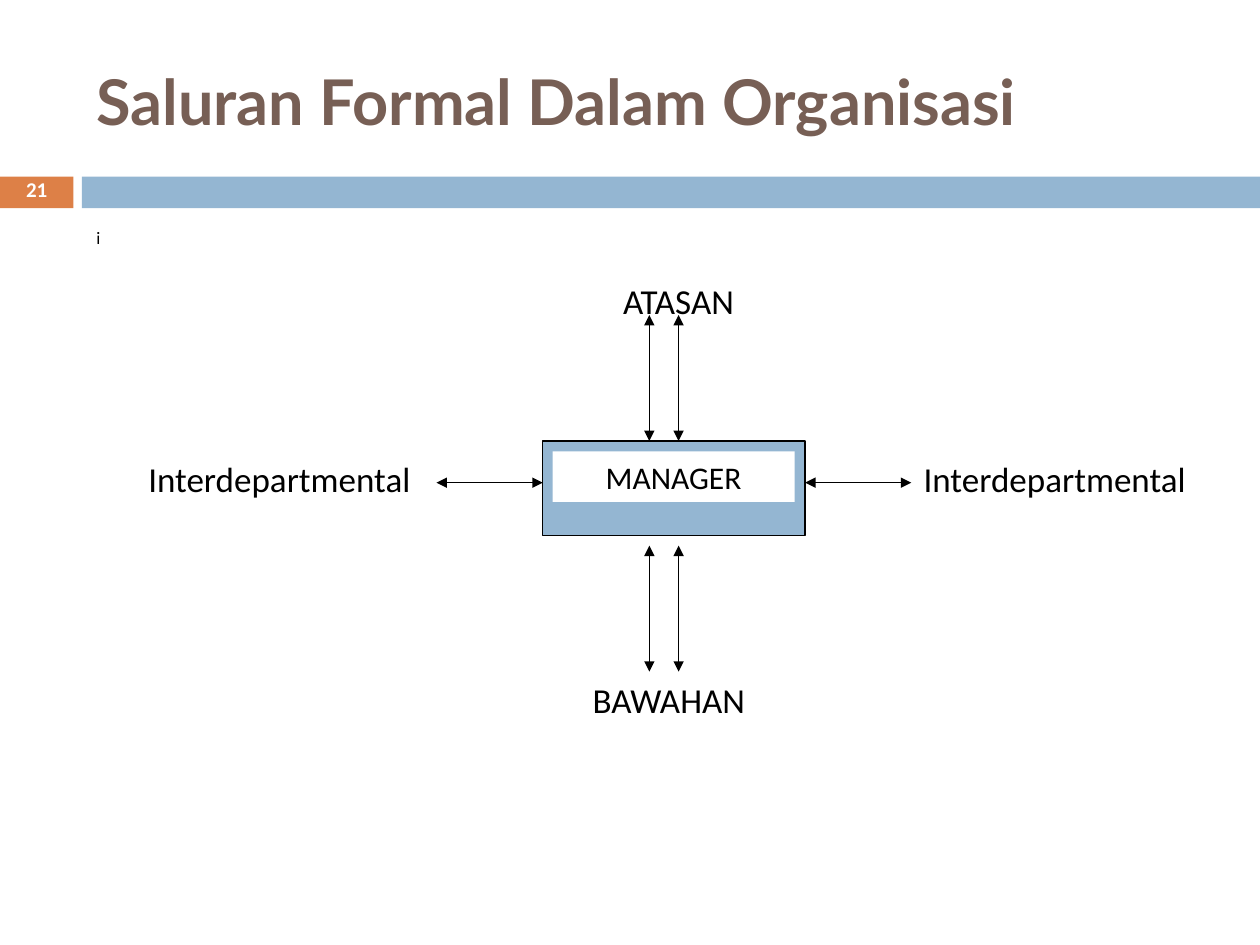
from dataclasses import dataclass

from lxml import etree
from pptx import Presentation
from pptx import util as u
from pptx.dml.color import RGBColor
from pptx.enum import shapes, text
from pptx.oxml.ns import qn


@dataclass(frozen=True)
class Theme:
    orange: str = "DD8047"
    blue: str = "94B6D2"
    brown: str = "775F55"
    black: str = "000000"
    white: str = "FFFFFF"
    title_font: str = "Lato"
    text_font: str = "Calibri"
    title_size: int = 36
    label_size: int = 20
    manager_size: int = 18
    number_size: int = 12
    note_size: int = 10
    line_width: float = 0.75


@dataclass(frozen=True)
class Box:
    """A rectangle in centimetres."""
    left: float
    top: float
    width: float
    height: float

    @property
    def right(self) -> float:
        return self.left + self.width

    def lengths(self) -> tuple:
        return u.Cm(self.left), u.Cm(self.top), u.Cm(self.width), u.Cm(self.height)


@dataclass(frozen=True)
class Label:
    wording: str
    box: Box


@dataclass(frozen=True)
class Channel:
    """A two-way arrow, with its ends in centimetres."""
    x1: float
    y1: float
    x2: float
    y2: float


THEME = Theme()
SLIDE_WIDTH, SLIDE_HEIGHT = 25.4, 19.05
BAND_TOP, BAND_HEIGHT = 3.56, 0.64
NUMBER_WIDTH, BAND_LEFT = 1.48, 1.65

TITLE = Box(1.69, 0.64, 22.65, 2.75)
NOTE = Box(1.69, 4.45, 22.65, 12.5)
MANAGER = Box(10.94, 8.89, 5.29, 1.9)
MANAGER_LABEL = Box(11.14, 9.1, 4.88, 1.02)

LABELS = [
    Label("ATASAN", Box(12.31, 5.5, 3.34, 1.11)),
    Label("BAWAHAN", Box(11.7, 13.55, 4.28, 1.11)),
    Label("Interdepartmental", Box(2.74, 9.1, 6.44, 1.95)),
    Label("Interdepartmental", Box(18.37, 9.1, 6.2, 3.25)),
]

SIDE_Y, SIDE_LENGTH = 9.73, 2.14
UPPER_TOP, LOWER_TOP, UPRIGHT_LENGTH = 6.35, 11.0, 2.54
CHANNELS = [
    Channel(MANAGER.left - SIDE_LENGTH, SIDE_Y, MANAGER.left, SIDE_Y),
    Channel(MANAGER.right, SIDE_Y, MANAGER.right + SIDE_LENGTH, SIDE_Y),
] + [
    Channel(x, top, x, top + UPRIGHT_LENGTH)
    for top in (UPPER_TOP, LOWER_TOP)
    for x in (13.09, 13.68)
]


def place(shape, box: Box) -> None:
    shape.left, shape.top, shape.width, shape.height = box.lengths()


def write(shape, wording: str, size: int, color: str = THEME.black,
          font: str = THEME.text_font, bold: bool = False,
          align=text.PP_ALIGN.LEFT, anchor=text.MSO_ANCHOR.TOP):
    """Put one run into the shape and return its paragraph."""
    frame = shape.text_frame
    frame.word_wrap = True
    frame.auto_size = text.MSO_AUTO_SIZE.NONE
    frame.vertical_anchor = anchor
    paragraph = frame.paragraphs[0]
    paragraph.alignment = align
    paragraph.space_before = u.Pt(0)
    run = paragraph.add_run()
    run.text = wording
    run.font.name = font
    run.font.size = u.Pt(size)
    run.font.bold = bold
    run.font.color.rgb = RGBColor.from_string(color)
    return paragraph


def add_rectangle(slide, box: Box, fill: str, outlined: bool = False):
    rectangle = slide.shapes.add_shape(shapes.MSO_SHAPE.RECTANGLE, *box.lengths())
    rectangle.shadow.inherit = False
    rectangle.fill.solid()
    rectangle.fill.fore_color.rgb = RGBColor.from_string(fill)
    if outlined:
        rectangle.line.color.rgb = RGBColor.from_string(THEME.black)
        rectangle.line.width = u.Pt(THEME.line_width)
    else:
        rectangle.line.fill.background()
    return rectangle


def add_label(slide, label: Label) -> None:
    write(slide.shapes.add_textbox(*label.box.lengths()), label.wording, THEME.label_size)


def add_channel(slide, channel: Channel) -> None:
    arrow = slide.shapes.add_connector(
        shapes.MSO_CONNECTOR.STRAIGHT, u.Cm(channel.x1), u.Cm(channel.y1),
        u.Cm(channel.x2), u.Cm(channel.y2))
    arrow.line.color.rgb = RGBColor.from_string(THEME.black)
    arrow.line.width = u.Pt(THEME.line_width)
    outline = arrow.line._get_or_add_ln()
    for end in ("a:headEnd", "a:tailEnd"):
        etree.SubElement(outline, qn(end), type="triangle")
    etree.SubElement(arrow._element.spPr, qn("a:effectLst"))


def add_heading(slide) -> None:
    add_rectangle(slide, Box(0, BAND_TOP, NUMBER_WIDTH, BAND_HEIGHT), THEME.orange)
    add_rectangle(slide, Box(BAND_LEFT, BAND_TOP, SLIDE_WIDTH - BAND_LEFT, BAND_HEIGHT),
                  THEME.blue)
    page_number = slide.shapes.add_textbox(*Box(0, 3.53, NUMBER_WIDTH, 0.69).lengths())
    write(page_number, "21", THEME.number_size, THEME.white, bold=True,
          align=text.PP_ALIGN.CENTER, anchor=text.MSO_ANCHOR.MIDDLE).line_spacing = 0.7
    title = slide.shapes.title
    place(title, TITLE)
    write(title, "Saluran Formal Dalam Organisasi", THEME.title_size, THEME.brown,
          THEME.title_font, bold=True, anchor=text.MSO_ANCHOR.MIDDLE)


def add_note(slide) -> None:
    note = slide.placeholders[1]
    place(note, NOTE)
    properties = write(note, "i", THEME.note_size)._p.get_or_add_pPr()
    properties.set("marL", str(u.Cm(0.89)))
    properties.set("indent", str(-u.Cm(0.89)))
    etree.SubElement(properties, qn("a:buNone"))


def add_diagram(slide) -> None:
    add_rectangle(slide, MANAGER, THEME.blue, outlined=True)
    manager_label = add_rectangle(slide, MANAGER_LABEL, THEME.white)
    write(manager_label, "MANAGER", THEME.manager_size, align=text.PP_ALIGN.CENTER)
    for label in LABELS:
        add_label(slide, label)
    for channel in CHANNELS:
        add_channel(slide, channel)


def main() -> None:
    presentation = Presentation()
    presentation.slide_width = u.Cm(SLIDE_WIDTH)
    presentation.slide_height = u.Cm(SLIDE_HEIGHT)
    slide = presentation.slides.add_slide(presentation.slide_layouts[1])
    add_heading(slide)
    add_note(slide)
    add_diagram(slide)
    presentation.save("out.pptx")


if __name__ == "__main__":
    main()
